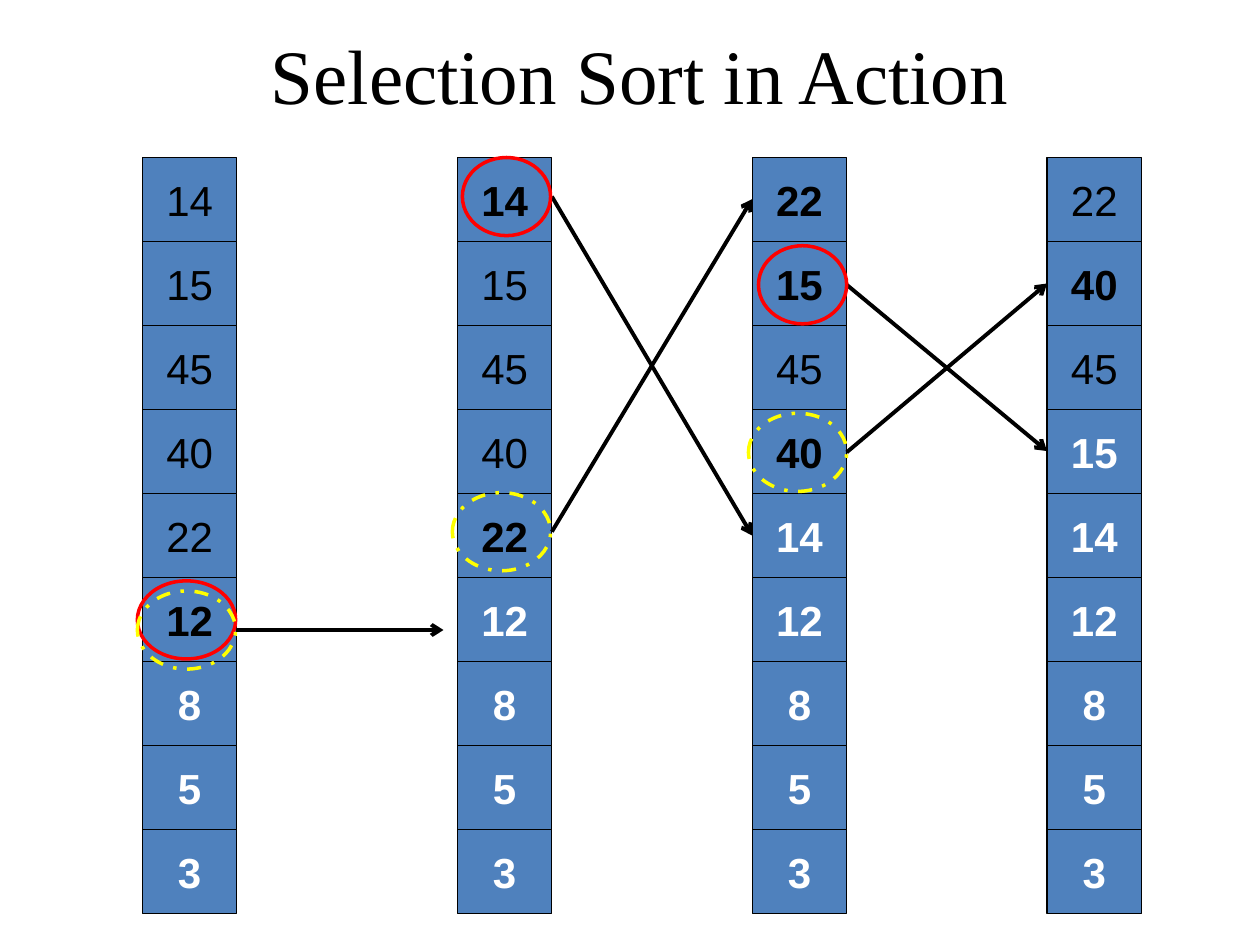
from lxml import etree
from pptx import Presentation
from pptx.dml.color import RGBColor
from pptx.enum.dml import MSO_LINE
from pptx.enum.shapes import MSO_CONNECTOR, MSO_SHAPE
from pptx.enum.text import MSO_ANCHOR, MSO_AUTO_SIZE, PP_ALIGN
from pptx.oxml.ns import qn
from pptx.util import Inches, Pt

RECT, OVAL = MSO_SHAPE.RECTANGLE, MSO_SHAPE.OVAL
STRAIGHT = MSO_CONNECTOR.STRAIGHT
DASH = MSO_LINE.DASH_DOT
CENTER = PP_ALIGN.CENTER
MIDDLE, BOTTOM = MSO_ANCHOR.MIDDLE, MSO_ANCHOR.BOTTOM
NO_FIT = MSO_AUTO_SIZE.NONE

BLACK = RGBColor(0, 0, 0)
WHITE = RGBColor(255, 255, 255)
BLUE = RGBColor(0x4F, 0x81, 0xBD)
RED = RGBColor(255, 0, 0)
YELLOW = RGBColor(255, 255, 0)

TOP, WIDTH, HEIGHT = 1.25, 0.75, 2 / 3

# left edge, values, rows being swapped, first sorted row
COLUMNS = [
    (1.13, [14, 15, 45, 40, 22, 12, 8, 5, 3], [5], 6),
    (3.63, [14, 15, 45, 40, 22, 12, 8, 5, 3], [0, 4], 5),
    (5.97, [22, 15, 45, 40, 14, 12, 8, 5, 3], [0, 1, 3], 4),
    (8.31, [22, 40, 45, 15, 14, 12, 8, 5, 3], [1], 3),
]

# start x, start y, end x, end y
ARROWS = [
    (1.87, 5, 3.52, 5),
    (4.38, 4.22, 5.97, 1.58),
    (4.38, 1.56, 5.97, 4.25),
    (6.72, 2.26, 8.31, 3.58),
    (6.72, 3.59, 8.31, 2.25),
]

# left, top, width, colour, dash
RINGS = [
    (1.09, 4.61, 0.78, RED, None),
    (1.09, 4.69, 0.78, YELLOW, DASH),
    (3.67, 1.25, 0.70, RED, None),
    (3.59, 3.91, 0.78, YELLOW, DASH),
    (6.02, 1.95, 0.70, RED, None),
    (5.94, 3.28, 0.78, YELLOW, DASH),
]


def write(shape, text, frame_format, font_format, color):
    """Put one centred line of formatted text into a shape."""
    frame = shape.text_frame
    frame.text = text
    para = frame.paragraphs[0]
    para.alignment = CENTER
    font = para.runs[0].font
    for target, values in ((frame, frame_format), (font, font_format)):
        for name, value in values.items():
            setattr(target, name, value)
    font.color.rgb = color


deck = Presentation()
deck.slide_width, deck.slide_height = Inches(10), Inches(7.5)
slide = deck.slides.add_slide(deck.slide_layouts[5])
shapes = slide.shapes

title = shapes.title
place = {"left": 0.55, "top": 0.16, "width": 9.06, "height": 0.84}
for name, value in place.items():
    setattr(title, name, Inches(value))
write(title, "Selection Sort in Action",
      {"vertical_anchor": BOTTOM, "word_wrap": True, "auto_size": NO_FIT},
      {"name": "Times New Roman", "size": Pt(44)}, BLACK)

for left, values, swapped, sorted_from in COLUMNS:
    for row, value in enumerate(values):
        cell = shapes.add_shape(RECT, Inches(left), Inches(TOP + row * HEIGHT),
                                Inches(WIDTH), Inches(HEIGHT))
        cell.shadow.inherit = False
        cell.fill.solid()
        cell.fill.fore_color.rgb = BLUE
        cell.line.color.rgb = BLACK
        cell.line.width = Pt(0.75)
        done = row >= sorted_from
        write(cell, str(value),
              {"vertical_anchor": MIDDLE, "word_wrap": False},
              {"name": "Arial", "size": Pt(24), "bold": done or row in swapped},
              WHITE if done else BLACK)

for points in ARROWS:
    arrow = shapes.add_connector(STRAIGHT, *map(Inches, points))
    arrow.line.color.rgb = BLACK
    arrow.line.width = Pt(2.25)
    props = arrow.element.spPr
    etree.SubElement(props.find(qn("a:ln")), qn("a:tailEnd"), type="arrow")
    etree.SubElement(props, qn("a:effectLst"))

for left, top, width, color, dash in RINGS:
    ring = shapes.add_shape(OVAL, Inches(left), Inches(top),
                            Inches(width), Inches(0.62))
    ring.shadow.inherit = False
    ring.fill.background()
    ring.line.color.rgb = color
    ring.line.width = Pt(2)
    if dash:
        ring.line.dash_style = dash

deck.save("out.pptx")
